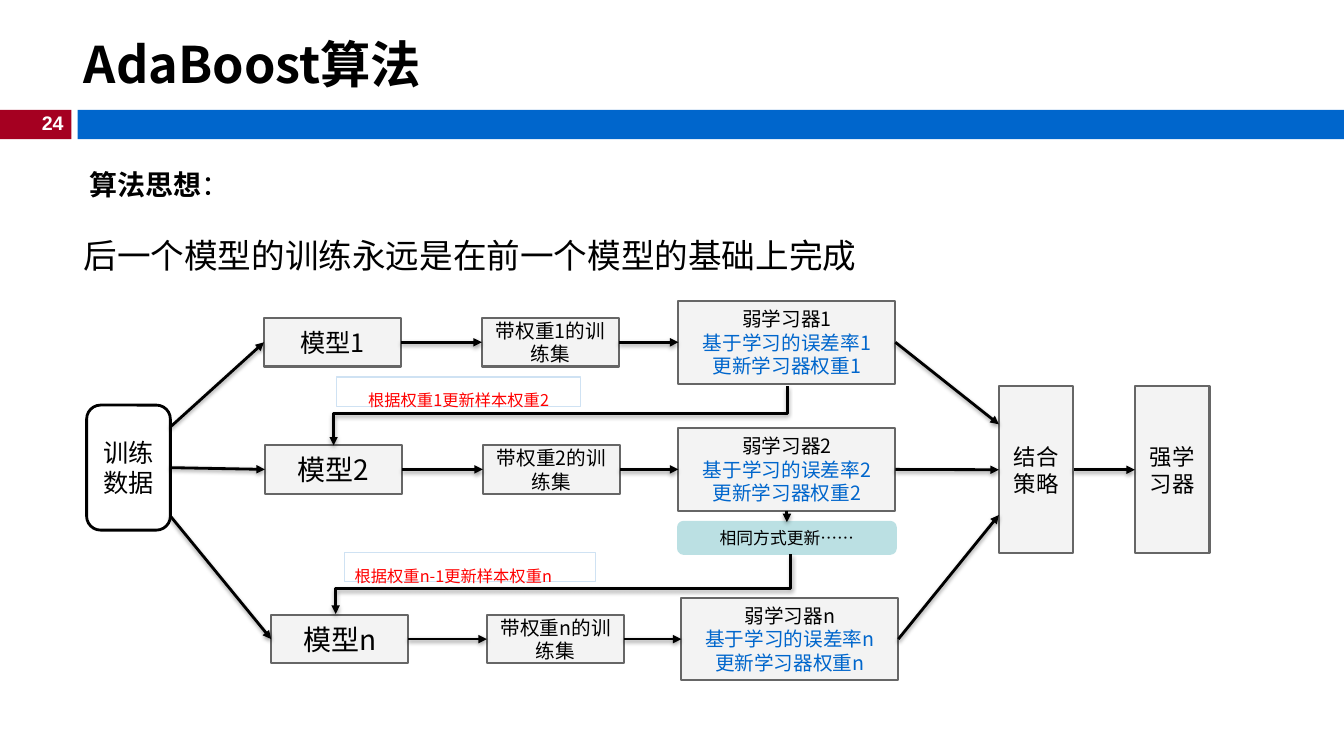
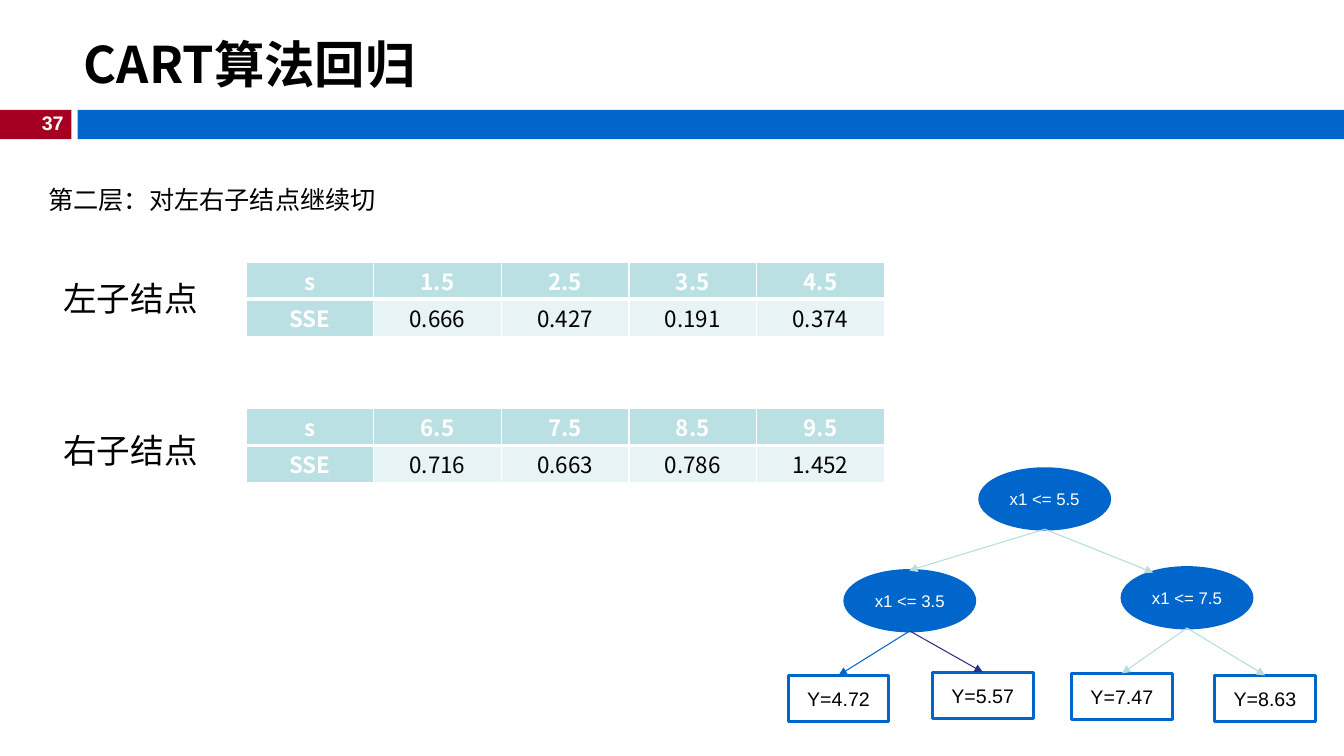
from lxml.etree import SubElement
from pptx import Presentation
from pptx.dml.color import RGBColor
from pptx.enum.shapes import MSO_CONNECTOR, MSO_SHAPE
from pptx.enum.text import MSO_ANCHOR, MSO_AUTO_SIZE, PP_ALIGN
from pptx.oxml.ns import qn
from pptx.util import Pt

BLACK = RGBColor(0x00, 0x00, 0x00)
WHITE = RGBColor(0xFF, 0xFF, 0xFF)
BLUE = RGBColor(0x00, 0x66, 0xCC)
NAVY = RGBColor(0x2D, 0x2D, 0x8A)
CRIMSON = RGBColor(0xA5, 0x00, 0x21)
RED = RGBColor(0xFF, 0x00, 0x00)
GRAY = RGBColor(0x66, 0x66, 0x66)
PALE_GRAY = RGBColor(0xF3, 0xF3, 0xF3)
PALE_BLUE = RGBColor(0xCF, 0xE2, 0xF3)
TEAL = RGBColor(0xBB, 0xE0, 0xE3)
DULL_TEAL = RGBColor(0xB6, 0xDC, 0xDF)
PALE_TEAL = RGBColor(0xE7, 0xF3, 0xF4)

CJK = "Noto Sans CJK SC"
LATIN = "Arial"
EVEN = (7.2, 7.2, 7.2, 7.2)
USUAL = (7.2, 3.6, 7.2, 3.6)
TOP, LEFT, BOTTOM, RIGHT = range(4)


def write(frame, *paragraphs, align=PP_ALIGN.CENTER, anchor=MSO_ANCHOR.MIDDLE,
          insets=USUAL, **style):
    """Fill a text frame; a paragraph is a string or a list of (text, changes) runs."""
    frame.word_wrap = True
    frame.auto_size = MSO_AUTO_SIZE.NONE
    frame.vertical_anchor = anchor
    (frame.margin_left, frame.margin_top,
     frame.margin_right, frame.margin_bottom) = map(Pt, insets)
    for index, content in enumerate(paragraphs):
        paragraph = frame.add_paragraph() if index else frame.paragraphs[0]
        paragraph.alignment = align
        runs = [(content, {})] if isinstance(content, str) else content
        for text, changes in runs:
            run = paragraph.add_run()
            run.text = text
            style_run(run, **{**style, **changes})


def style_run(run, size=14, font=CJK, color=BLACK, bold=False, baseline=0):
    """Format one run, with the East Asian face set as well."""
    run.font.size = Pt(size)
    run.font.bold = bold
    run.font.color.rgb = color
    run.font.name = font
    properties = run._r.get_or_add_rPr()
    SubElement(properties, qn("a:ea"), typeface=CJK)
    if baseline:
        properties.set("baseline", str(baseline * 1000))


def add_box(slide, bounds, kind=MSO_SHAPE.RECTANGLE, fill=None, line=None, weight=2):
    """Add a flat preset shape with an optional fill and outline."""
    box = slide.shapes.add_shape(kind, *map(Pt, bounds))
    box.shadow.inherit = False
    if fill is None:
        box.fill.background()
    else:
        box.fill.solid()
        box.fill.fore_color.rgb = fill
    if line is None:
        box.line.fill.background()
    else:
        box.line.color.rgb = line
        box.line.width = Pt(weight)
    return box


def add_label(slide, bounds, *paragraphs, **style):
    """Add a left-aligned text box."""
    label = slide.shapes.add_textbox(*map(Pt, bounds))
    write(label.text_frame, *paragraphs, **{"align": PP_ALIGN.LEFT,
                                            "anchor": MSO_ANCHOR.TOP, **style})


def add_step(slide, bounds, *paragraphs, **style):
    """Add a grey box of the flow diagram."""
    step = add_box(slide, bounds, fill=PALE_GRAY, line=GRAY, weight=1.5)
    write(step.text_frame, *paragraphs, insets=EVEN, **style)
    return step


def style_arrow(arrow, color, weight, shaded):
    """Give a connector its line, its arrowhead and its shadow, if any."""
    arrow.line.color.rgb = color
    arrow.line.width = Pt(weight)
    SubElement(arrow.line._get_or_add_ln(), qn("a:tailEnd"), type="triangle")
    effects = SubElement(arrow.element.spPr, qn("a:effectLst"))
    if shaded:
        shadow = SubElement(effects, qn("a:outerShdw"), blurRad=str(Pt(3.1)),
                            dist=str(Pt(1.6)), dir="5400000", rotWithShape="0")
        shade = SubElement(shadow, qn("a:srgbClr"), val="000000")
        SubElement(shade, qn("a:alpha"), val="38000")


def add_arrow(slide, start, end, color=BLACK, weight=2, shaded=True):
    """Add a straight arrow; an end is a point or a (shape, side) pair."""
    arrow = slide.shapes.add_connector(MSO_CONNECTOR.STRAIGHT, 0, 0, 0, 0)
    if isinstance(start[0], (int, float)):
        arrow.begin_x, arrow.begin_y = map(Pt, start)
    else:
        arrow.begin_connect(*start)
    if isinstance(end[0], (int, float)):
        arrow.end_x, arrow.end_y = map(Pt, end)
    else:
        arrow.end_connect(*end)
    style_arrow(arrow, color, weight, shaded)


def add_feedback(slide, start, end, bend):
    """Add an elbow arrow that runs down, left and down again."""
    (start_x, start_y), (end_x, end_y) = start, end
    drop, reach = end_y - start_y, start_x - end_x
    left = (start_x + end_x - drop) / 2
    top = (start_y + end_y - reach) / 2
    arrow = slide.shapes.add_connector(
        MSO_CONNECTOR.ELBOW, Pt(left), Pt(top), Pt(left + drop), Pt(top + reach))
    arrow.element.spPr.find(qn("a:xfrm")).set("rot", "5400000")
    guides = arrow.element.spPr.find(qn("a:prstGeom")).find(qn("a:avLst"))
    SubElement(guides, qn("a:gd"), name="adj1", fmla=f"val {bend * 1000}")
    style_arrow(arrow, BLACK, 2, True)


def set_borders(cell, **weights):
    """Draw white borders of the given weights on a table cell."""
    properties = cell._tc.get_or_add_tcPr()
    for index, side in enumerate(("lnL", "lnR", "lnT", "lnB")):
        border = properties.makeelement(qn(f"a:{side}"), w=str(Pt(weights.get(side, 1))))
        fill = SubElement(border, qn("a:solidFill"))
        SubElement(fill, qn("a:srgbClr"), val=str(WHITE))
        properties.insert(index, border)


def add_error_table(slide, top, splits, errors):
    """Add a table of split points and their squared errors."""
    rows = (("s", *splits), ("SSE", *errors))
    table = slide.shapes.add_table(2, 5, Pt(175.7), Pt(top), Pt(456), Pt(53.2)).table
    table.horz_banding = False
    for r, row in enumerate(rows):
        for c, text in enumerate(row):
            cell = table.cell(r, c)
            heading = r == 0 or c == 0
            cell.fill.solid()
            cell.fill.fore_color.rgb = TEAL if heading else PALE_TEAL
            set_borders(cell, **({"lnT": 3} if r else {"lnB": 3}))
            write(cell.text_frame, text, size=16, bold=heading,
                  color=WHITE if heading else BLACK)
            cell.vertical_anchor = MSO_ANCHOR.MIDDLE
            cell.margin_left = cell.margin_right = Pt(5)
            cell.margin_top = cell.margin_bottom = 0


def prepare_layout(layout):
    """Place the title that all slides share."""
    title = layout.placeholders[0]
    title.left, title.top, title.width, title.height = map(Pt, (52.6, 18.7, 443.5, 53.3))


def put_bands_on_layout(slide):
    """Draw the two bands and hand them to the slide's layout."""
    bands = (((0, 78.5, 51, 20.9), CRIMSON), ((55.5, 78.5, 904.5, 20.9), BLUE))
    for number, (bounds, color) in enumerate(bands, start=100):
        band = add_box(slide, bounds, fill=color)
        band.element.nvSpPr.cNvPr.id = number
        slide.slide_layout.shapes.element.append(band.element)


def add_page(deck, layout, title, number):
    """Add a slide with its title and page number."""
    slide = deck.slides.add_slide(layout)
    write(slide.shapes.title.text_frame, title, align=PP_ALIGN.LEFT, size=36, bold=True)
    add_label(slide, (20.9, 75.6, 31.7, 24.5), number, align=PP_ALIGN.RIGHT,
              font=LATIN, color=WHITE, bold=True)
    return slide


def add_boosting_row(slide, tag, size, lefts, center):
    """Add one model, its weighted training set and its weak learner, joined."""
    model_left, sample_left, learner_left = lefts
    model = add_step(slide, (model_left, center - 17.3, 98, 34.6), f"模型{tag}", size=size)
    sample = add_step(slide, (sample_left, center - 17.3, 98, 34.6), f"带权重{tag}的训练集")
    learner = add_step(slide, (learner_left, center - 29.5, 155, 59), f"弱学习器{tag}",
                       [(f"基于学习的误差率{tag}", {"color": BLUE})],
                       [(f"更新学习器权重{tag}", {"color": BLUE})])
    add_arrow(slide, (model, RIGHT), (sample, LEFT))
    add_arrow(slide, (sample, RIGHT), (learner, LEFT))
    return model, learner


def fill_boosting(slide):
    """Show how each boosting model builds on the one before."""
    add_label(slide, (56.9, 107.3, 852.5, 39.6),
              [("算法思想", {"bold": True}), ("：", {})], size=20,
              insets=(7.2, 12.6, 7.2, 3.6))
    add_label(slide, (52.6, 164.2, 605.5, 36),
              "后一个模型的训练永远是在前一个模型的基础上完成", size=24)

    training = add_box(slide, (61.9, 289.4, 59.8, 89.3), MSO_SHAPE.ROUNDED_RECTANGLE,
                       fill=WHITE, line=BLACK)
    write(training.text_frame, "训练数据", size=18)
    strategy = add_step(slide, (713.5, 275.8, 53.3, 119.5), "结合策略", size=16)
    strong = add_step(slide, (810.7, 275.8, 53.3, 119.5), "强学习器", size=16)
    add_arrow(slide, (strategy, RIGHT), (strong, LEFT))

    rows = (
        ("1", 18, (188.6, 344.2, 484.6), 244.5, (121.7, 305), (713.5, 303.1)),
        ("2", 20, (189.2, 344.9, 484.6), 335.3, (training, RIGHT), (strategy, LEFT)),
        ("n", 20, (193.7, 347.8, 486.7), 456.5, (121.7, 368.6), (713.5, 367.9)),
    )
    learners = {}
    for tag, size, lefts, center, source, target in rows:
        model, learners[tag] = add_boosting_row(slide, tag, size, lefts, center)
        add_arrow(slide, source, (model, LEFT))
        add_arrow(slide, (learners[tag], RIGHT), target)

    repeat = add_box(slide, (484.6, 373, 155, 22.3), MSO_SHAPE.ROUNDED_RECTANGLE,
                     fill=TEAL, line=TEAL)
    write(repeat.text_frame, "相同方式更新……", size=12)
    add_arrow(slide, (learners["2"], BOTTOM), (repeat, TOP))
    add_feedback(slide, (562.3, 275.8), (238.3, 318.2), 46)
    add_feedback(slide, (564.5, 396), (239.8, 438.5), 57)

    updates = (
        ((240.5, 269.3, 174.2, 20.9), "根据权重1更新样本权重2", PP_ALIGN.CENTER),
        ((246.2, 394.6, 179.3, 20.9), "根据权重n-1更新样本权重n", PP_ALIGN.LEFT),
    )
    for bounds, text, align in updates:
        update = add_box(slide, bounds, line=PALE_BLUE, weight=0.75)
        write(update.text_frame, text, align=align, anchor=MSO_ANCHOR.TOP,
              insets=EVEN, size=20, color=RED, baseline=30)


def fill_regression(slide):
    """Show the second level of the regression tree and its errors."""
    add_label(slide, (23, 128.2, 305.3, 28.8), "第二层：对左右子结点继续切",
              anchor=MSO_ANCHOR.MIDDLE, insets=(11.5, 3.6, 7.2, 3.6), size=18, font=LATIN)
    children = (
        ("左子结点", 195.1, 187.2, ("1.5", "2.5", "3.5", "4.5"),
         ("0.666", "0.427", "0.191", "0.374")),
        ("右子结点", 303.8, 291.6, ("6.5", "7.5", "8.5", "9.5"),
         ("0.716", "0.663", "0.786", "1.452")),
    )
    for name, label_top, table_top, splits, errors in children:
        add_label(slide, (38.2, label_top, 115.9, 36), name, size=24, font=LATIN)
        add_error_table(slide, table_top, splits, errors)

    root_foot = add_split(slide, 699.8, 334.8, "x1 <= 5.5")
    branches = (
        (603.4, 407.5, "x1 <= 3.5", (649.4, 407.5),
         ((563, 482.4, "Y=4.72", BLUE), (666, 480.2, "Y=5.57", NAVY))),
        (801.4, 405.4, "x1 <= 7.5", (823.7, 409),
         ((765.4, 481, "Y=7.47", DULL_TEAL), (867.6, 482.4, "Y=8.63", DULL_TEAL))),
    )
    for left, top, test, arrival, leaves in branches:
        foot = add_split(slide, left, top, test)
        add_arrow(slide, root_foot, arrival, DULL_TEAL, 0.75, False)
        for leaf_left, leaf_top, value, color in leaves:
            leaf = add_box(slide, (leaf_left, leaf_top, 72, 33.1), fill=WHITE, line=BLUE)
            write(leaf.text_frame, value, font=LATIN)
            add_arrow(slide, foot, (leaf, TOP), color, 0.75, False)


def add_split(slide, left, top, test):
    """Add a split node of the tree and return the point at its foot."""
    width, height = 92.9, 43.2
    node = add_box(slide, (left, top, width, height), MSO_SHAPE.OVAL, fill=BLUE, line=BLUE)
    write(node.text_frame, test, size=12, font=LATIN, color=WHITE)
    return left + width / 2, top + height


def main():
    """Build and save the two slides."""
    deck = Presentation()
    deck.slide_width, deck.slide_height = Pt(960), Pt(540)
    layout = deck.slide_layouts[5]
    prepare_layout(layout)
    boosting = add_page(deck, layout, "AdaBoost算法", "24")
    put_bands_on_layout(boosting)
    fill_boosting(boosting)
    fill_regression(add_page(deck, layout, "CART算法回归", "37"))
    deck.save("out.pptx")


if __name__ == "__main__":
    main()
